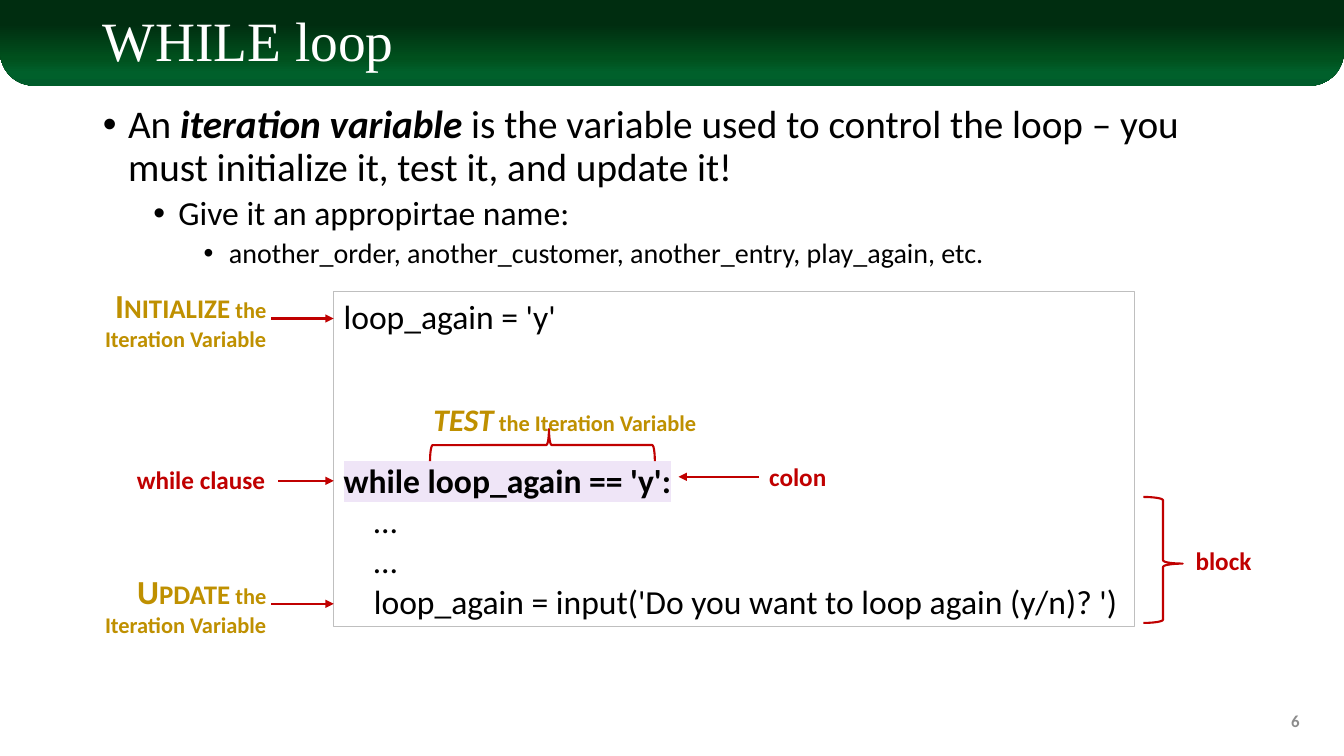
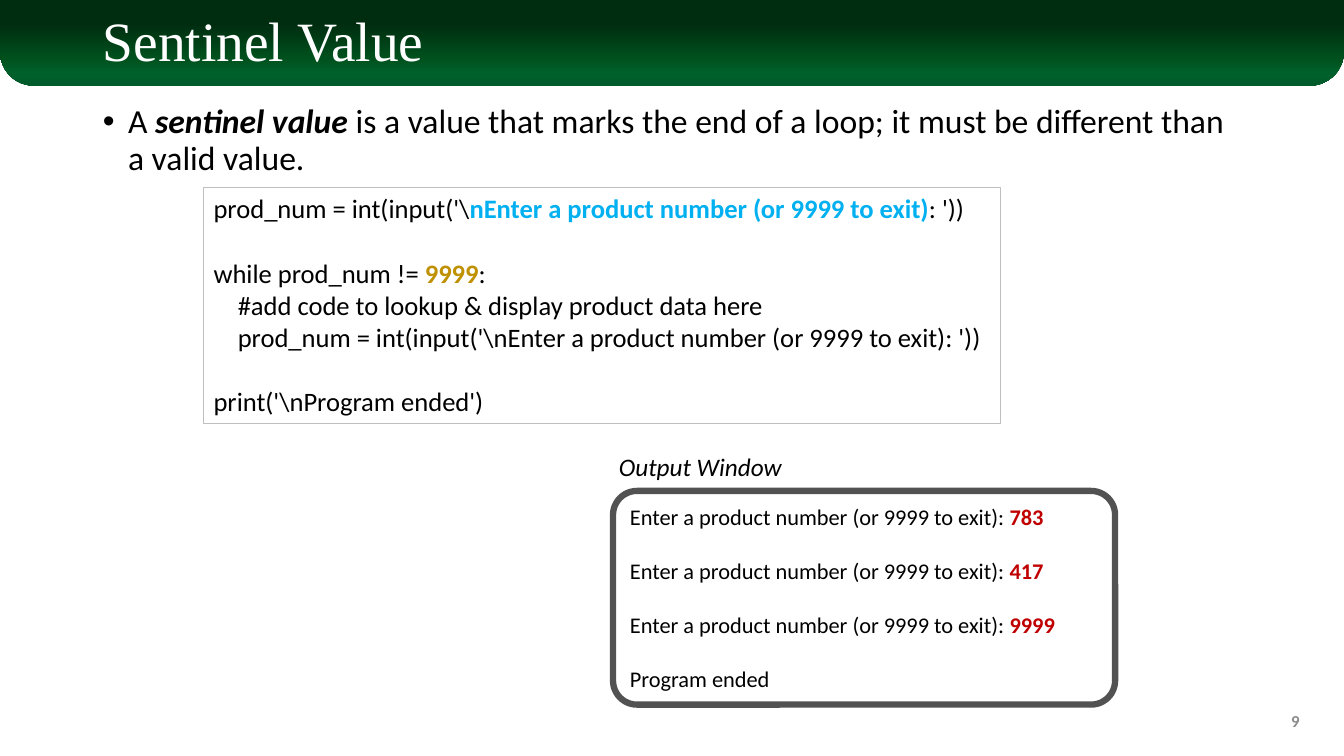
from dataclasses import dataclass

from lxml import etree
from pptx import Presentation
from pptx.dml.color import RGBColor
from pptx.enum.shapes import MSO_CONNECTOR, MSO_SHAPE
from pptx.enum.text import MSO_ANCHOR, MSO_AUTO_SIZE, PP_ALIGN
from pptx.oxml.ns import qn
from pptx.util import Inches, Pt

RECT, ROUND_RECT = MSO_SHAPE.RECTANGLE, MSO_SHAPE.ROUNDED_RECTANGLE
BAND, BRACE = MSO_SHAPE.ROUND_2_SAME_RECTANGLE, MSO_SHAPE.LEFT_BRACE
STRAIGHT = MSO_CONNECTOR.STRAIGHT
TOP, MIDDLE = MSO_ANCHOR.TOP, MSO_ANCHOR.MIDDLE
LEFT, RIGHT = PP_ALIGN.LEFT, PP_ALIGN.RIGHT
FIT, NO_FIT = MSO_AUTO_SIZE.SHAPE_TO_FIT_TEXT, MSO_AUTO_SIZE.NONE


@dataclass(frozen=True)
class Theme:
    """Colours, fonts and type sizes of the deck."""
    white = RGBColor.from_string("FFFFFF")
    black = RGBColor.from_string("000000")
    red = RGBColor.from_string("C00000")
    gold = RGBColor.from_string("BF9000")
    blue = RGBColor.from_string("00B0F0")
    frame = RGBColor.from_string("BFBFBF")
    window = RGBColor.from_string("525252")
    number = RGBColor.from_string("8C8C8C")
    highlight = "EFE5F7"
    band = ((0, "002D10"), (28, "002D10"), (68, "00501D"), (85, "00602B"), (100, "005C2B"))
    title_font = "Times New Roman"
    body_font = "Calibri"
    title = 39.6
    levels = (28, 24, 20)
    code_large = 24
    code_small = 19
    output = 16
    label = 18
    step = 24
    test = 28
    note = 16
    page = 12
    line_height = 1.22


T = Theme()


def inches(*values):
    """Convert numbers to lengths."""
    return [Inches(round(v, 2)) for v in values]


def sub(parent, tag, **attrs):
    """Append an XML child with attributes."""
    return etree.SubElement(parent, qn(tag), attrs)


def add_run(p, text, size, color=T.black, bold=False, italic=False,
            font=T.body_font, small=False, highlight=None):
    """Add one formatted run to a paragraph."""
    r = p.add_run()
    r.text = text
    f = r.font
    f.size, f.bold, f.italic, f.name = Pt(size), bold, italic, font
    f.color.rgb = color
    rPr = r._r.get_or_add_rPr()
    if small:
        rPr.set("cap", "small")
    if highlight:
        mark = etree.Element(qn("a:highlight"))
        sub(mark, "a:srgbClr", val=highlight)
        rPr.find(qn("a:latin")).addprevious(mark)


def add_runs(p, runs, size, **style):
    """Add (text, overrides) runs on top of a shared style."""
    for text, changes in runs:
        add_run(p, text, **{"size": size, **style, **changes})


def paragraphs(tf, count):
    """Return the given number of paragraphs of a text frame."""
    return [tf.paragraphs[0]] + [tf.add_paragraph() for _ in range(count - 1)]


def indent(p, margin, hanging=0):
    """Set the left margin and hanging indent of a paragraph."""
    pPr = p._p.get_or_add_pPr()
    pPr.set("marL", str(Inches(margin)))
    pPr.set("indent", str(-Inches(hanging)))
    return pPr


def add_outline(s, kind, box, color, width, adjustments=(), rotation=0):
    """Add an unfilled preset shape."""
    sp = s.shapes.add_shape(kind, *inches(*box))
    sp.shadow.inherit = False
    sp.fill.background()
    sp.line.color.rgb, sp.line.width = color, Pt(width)
    sp.rotation = rotation
    for i, value in enumerate(adjustments):
        sp.adjustments[i] = value
    return sp


def add_brace(s, box, rotation):
    """Add a turned curly brace."""
    add_outline(s, BRACE, box, T.red, 1.5, (0.083, 0.471), rotation)


def add_arrow(s, x, y, dx):
    """Add a horizontal arrow of signed length dx."""
    c = s.shapes.add_connector(STRAIGHT, *inches(x, y, x + dx, y))
    c.line.color.rgb, c.line.width = T.red, Pt(1.5)
    spPr = c.element.spPr
    sub(spPr.find(qn("a:ln")), "a:tailEnd", type="triangle")
    sub(spPr, "a:effectLst")


def add_label(s, box, lines, size, align=LEFT, **style):
    """Add an unwrapped text box with one paragraph per line of runs."""
    tf = s.shapes.add_textbox(*inches(*box)).text_frame
    tf.word_wrap, tf.auto_size = False, FIT
    for p, runs in zip(paragraphs(tf, len(lines)), lines):
        p.alignment = align
        add_runs(p, runs, size, **style)
    return tf


def fill_lines(tf, lines, size, tab=0):
    """Write (gap lines, indent level, runs) rows into a text frame."""
    tf.vertical_anchor = TOP
    for p, (gap, level, runs) in zip(paragraphs(tf, len(lines)), lines):
        p.alignment = LEFT
        p.space_before = Pt(round(gap * size * T.line_height, 1))
        indent(p, level * tab)
        add_runs(p, runs, size)


def code_box(s, box, lines, size, tab):
    """Draw a framed code listing."""
    tf = add_outline(s, RECT, box, T.frame, 0.75).text_frame
    tf.word_wrap, tf.auto_size = False, FIT
    fill_lines(tf, lines, size, tab)


def shared_layout(prs):
    """Place the title, body and green band on the layout."""
    layout = prs.slide_layouts[1]
    for ph, box in zip(layout.placeholders, ((0.92, 0.13, 11.5, 0.61), (0.92, 0.99, 11.5, 5.77))):
        ph.left, ph.top, ph.width, ph.height = inches(*box)
    return layout


def title_band(s):
    """Draw the gradient band behind the title."""
    sp = s.shapes.add_shape(BAND, 0, 0, *inches(13.33, 0.85))
    sp.shadow.inherit = False
    sp.adjustments[0], sp.adjustments[1] = 0, 0.4
    sp.line.fill.background()
    sp.fill.gradient()
    grad = sp.element.spPr.find(qn("a:gradFill"))
    for child in list(grad):
        grad.remove(child)
    stops = sub(grad, "a:gsLst")
    for pos, color in T.band:
        sub(sub(stops, "a:gs", pos=str(pos * 1000)), "a:srgbClr", val=color)
    sub(grad, "a:lin", ang="5400000", scaled="0")
    s.shapes.title.element.addprevious(sp.element)


def bullet_list(tf, bullets, first_level):
    """Fill the body with nested bullets, each one level deeper."""
    tf.auto_size, tf.vertical_anchor = NO_FIT, TOP
    for level, (p, runs) in enumerate(zip(paragraphs(tf, len(bullets)), bullets)):
        p.level, p.line_spacing = level, 0.9
        p.space_before = Pt(5 if level else 10)
        pPr = indent(p, 0.25 + 0.5 * level, 0.25)
        sub(pPr, "a:buFont", typeface="Arial")
        sub(pPr, "a:buChar", char="•")
        add_runs(p, runs, T.levels[first_level + level])


def base_slide(prs, layout, title, bullets, number, first_level=0):
    """Add a slide with its band, title, bullets and number."""
    s = prs.slides.add_slide(layout)
    title_band(s)
    tf = s.shapes.title.text_frame
    tf.vertical_anchor, tf.auto_size = MIDDLE, NO_FIT
    p = tf.paragraphs[0]
    p.alignment, p.line_spacing = LEFT, 0.9
    add_run(p, title, T.title, T.white, font=T.title_font)
    bullet_list(s.placeholders[1].text_frame, bullets, first_level)
    tf = add_label(s, (9.99, 6.95, 3, 0.4), [[(number, {})]], T.page, RIGHT,
                   color=T.number, bold=True)
    tf.word_wrap, tf.auto_size, tf.vertical_anchor = True, NO_FIT, MIDDLE
    return s


def loop_diagram(s, box):
    """Draw the annotated while loop around its code box."""
    x, y, w, _ = box
    red = {"size": T.label, "color": T.red, "bold": True}
    gold = {"size": T.note, "color": T.gold, "bold": True}
    code_box(s, box, [
        (0, 0, [("loop_again = 'y'", {})]),
        (3, 0, [("while loop_again == 'y':", {"bold": True, "highlight": T.highlight})]),
        (0, 1, [("…", {})]),
        (0, 1, [("…", {})]),
        (0, 1, [("loop_again = input('Do you want to loop again (y/n)? ')", {})]),
    ], T.code_large, 0.3)
    for step, dy in (("Initialize", 0), ("Update", 2.83)):
        add_label(s, (x - 2.39, y - 0.11 + dy, 1.82, 0.77),
                  [[(step, {"size": T.step, "small": True}), (" the", {})],
                   [("Iteration Variable", {})]], align=RIGHT, **gold)
        add_arrow(s, x - 0.62, y + 0.27 + dy, 0.62)
    add_label(s, (x - 2.06, y + 1.67, 1.48, 0.4), [[("while clause", {})]], align=RIGHT, **red)
    add_arrow(s, x - 0.55, y + 1.88, 0.55)
    add_label(s, (x + 4.22, y + 1.64, 0.77, 0.4), [[("colon", {})]], **red)
    add_arrow(s, x + 4.22, y + 1.84, -0.8)
    add_brace(s, (x + w + 0.09, y + 2.04, 0.39, 1.25), 180)
    add_label(s, (x + w + 0.51, y + 2.47, 0.76, 0.44), [[("block", {})]], **red)
    add_brace(s, (x + 1.91, y + 0.41, 0.32, 2.23), 90)
    add_label(s, (x + 0.89, y + 0.95, 2.85, 0.48),
              [[("test", {"size": T.test, "italic": True, "small": True}),
                (" the Iteration Variable", {})]], **gold)


def sentinel_code(s, box):
    """Draw the product lookup listing."""
    code_box(s, box, [
        (0, 0, [("prod_num = int(input('\\", {}),
                ("nEnter a product number (or 9999 to exit)", {"color": T.blue, "bold": True}),
                (": '))", {})]),
        (1, 0, [("while prod_num != ", {}), ("9999", {"color": T.gold, "bold": True}), (":", {})]),
        (0, 1, [("#add code to lookup & display product data here", {})]),
        (0, 1, [("prod_num = int(input('\\nEnter a product number (or 9999 to exit): '))", {})]),
        (1, 0, [("print('\\nProgram ended')", {})]),
    ], T.code_small, 0.24)


def output_window(s, box):
    """Draw the captioned program output."""
    x, y, _, _ = box
    tf = add_outline(s, ROUND_RECT, box, T.window, 4.5, (0.112,)).text_frame
    tf.word_wrap = True
    entries = [[("Enter a product number (or 9999 to exit): ", {}),
                (value, {"color": T.red, "bold": True})] for value in ("783", "417", "9999")]
    entries.append([("Program ended", {})])
    fill_lines(tf, [(min(i, 1), 0, runs) for i, runs in enumerate(entries)], T.output)
    add_label(s, (x - 0.04, y - 0.44, 1.86, 0.47), [[("Output Window", {})]], T.label, italic=True)


def while_slide(prs, layout):
    """Build the slide on the iteration variable."""
    s = base_slide(prs, layout, "WHILE loop", [
        [("An ", {}), ("iteration variable ", {"bold": True, "italic": True}),
         ("is the variable used to control the loop – you must initialize it, "
          "test it, and update it!", {})],
        [("Give it an appropirtae name:", {})],
        [("another_order, another_customer, another_entry, play_again, etc.", {})],
    ], "6")
    loop_diagram(s, (3.31, 2.89, 7.94, 3.33))


def sentinel_slide(prs, layout):
    """Build the slide on the sentinel value."""
    s = base_slide(prs, layout, "Sentinel Value", [
        [("A ", {}), ("sentinel value ", {"bold": True, "italic": True}),
         ("is a value that marks the end of a loop; it must be different than "
          "a valid value.", {})],
    ], "9", first_level=1)
    sentinel_code(s, (2.02, 1.86, 7.9, 2.34))
    output_window(s, (6.08, 4.87, 4.98, 2.12))


prs = Presentation()
prs.slide_width, prs.slide_height = inches(13.33, 7.5)
content = shared_layout(prs)
while_slide(prs, content)
sentinel_slide(prs, content)
prs.save("out.pptx")
